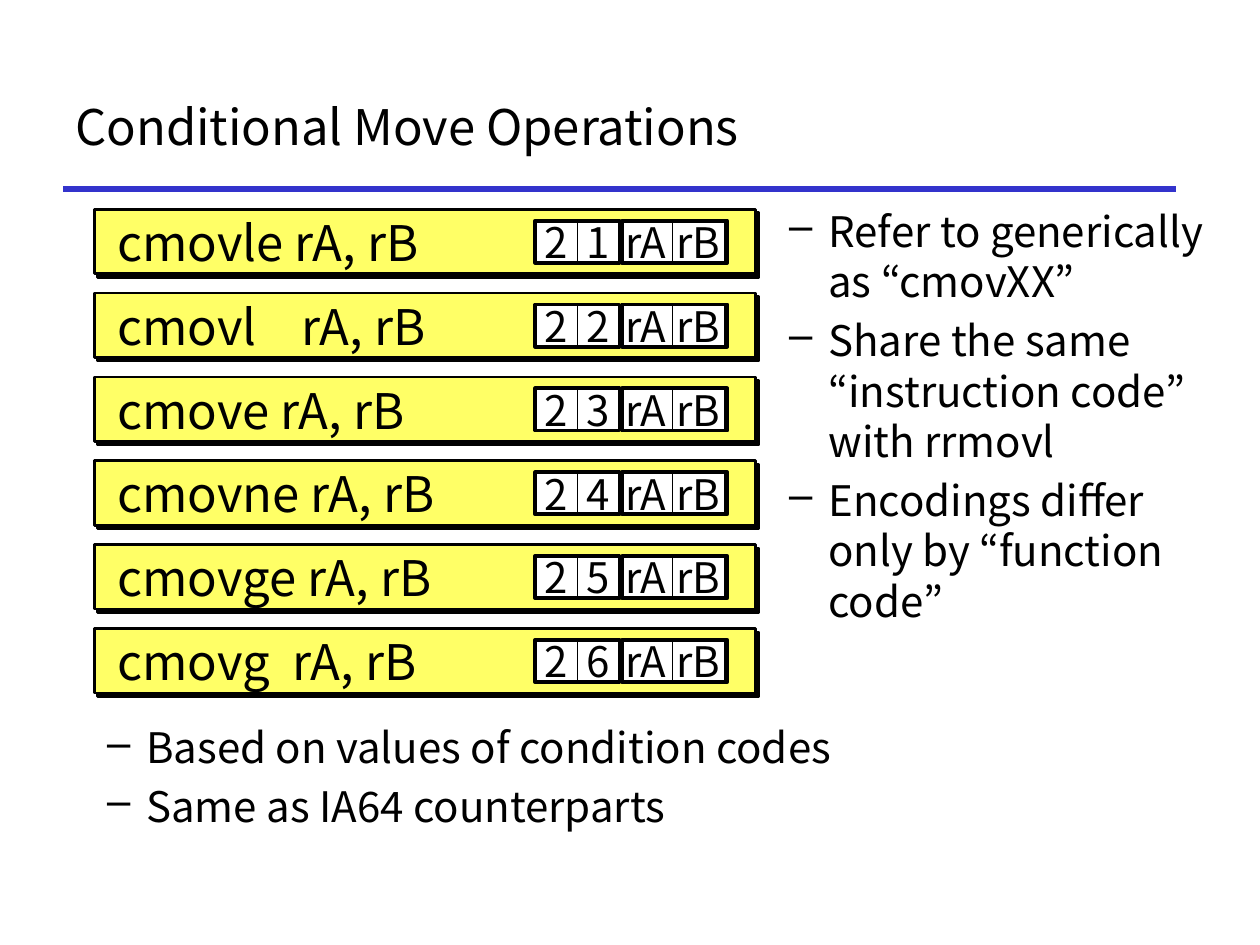
from lxml.etree import SubElement
from pptx import Presentation
from pptx.dml.color import RGBColor
from pptx.enum.shapes import MSO_CONNECTOR, MSO_SHAPE
from pptx.enum.text import MSO_ANCHOR, PP_ALIGN
from pptx.oxml.ns import qn
from pptx.util import Cm, Pt

FONT = "Noto Sans CJK KR"
BLACK = RGBColor(0x00, 0x00, 0x00)
WHITE = RGBColor(0xFF, 0xFF, 0xFF)
YELLOW = RGBColor(0xFF, 0xFF, 0x66)
BLUE = RGBColor(0x33, 0x33, 0xCC)

# Code, function digit, tab stop in cm (where the operands are set apart)
MOVES = [
    ("cmovle rA, rB", "1", None),
    ("cmovl\trA, rB", "2", 3.71),
    ("cmove rA, rB", "3", None),
    ("cmovne rA, rB", "4", None),
    ("cmovge rA, rB", "5", None),
    ("cmovg\trA, rB", "6", 3.53),
]
TOP, STEP = 4.22, 1.69


class Deck:
    def __init__(self, wide, high):
        self.file = Presentation()
        self.file.slide_width, self.file.slide_height = Cm(wide), Cm(high)
        self.slide = self.file.slides.add_slide(self.file.slide_layouts[6])
        self.shapes = self.slide.shapes

    def style(self, para, size):
        font = para.font
        font.name, font.size, font.color.rgb = FONT, Pt(size), BLACK

    def rule(self, x1, x2, y):
        line = self.shapes.add_connector(
            MSO_CONNECTOR.STRAIGHT, Cm(x1), Cm(y), Cm(x2), Cm(y))
        line.line.color.rgb, line.line.width = BLUE, Pt(3)
        SubElement(line._element.spPr, qn("a:effectLst"))

    def text(self, home, words, x, y, w, h, stop=None):
        box = home.add_textbox(Cm(x), Cm(y), Cm(w), Cm(h))
        frame = box.text_frame
        frame.word_wrap, frame.vertical_anchor = True, MSO_ANCHOR.MIDDLE
        para = frame.paragraphs[0]
        para.text = words
        if stop:
            tabs = SubElement(para._p.get_or_add_pPr(), qn("a:tabLst"))
            SubElement(tabs, qn("a:tab"), pos=str(Cm(stop)), algn="l")
        self.style(para, 28)

    def rect(self, home, x, y, w, h, fill, width, words=None):
        box = home.add_shape(MSO_SHAPE.RECTANGLE, Cm(x), Cm(y), Cm(w), Cm(h))
        box.shadow.inherit = False
        if fill is None:
            box.fill.background()
        else:
            box.fill.solid()
            box.fill.fore_color.rgb = fill
        box.line.color.rgb, box.line.width = BLACK, Pt(width)
        if words:
            frame = box.text_frame
            frame.word_wrap, frame.vertical_anchor = False, MSO_ANCHOR.MIDDLE
            para = frame.paragraphs[0]
            para.text, para.alignment = words, PP_ALIGN.CENTER
            self.style(para, 24)
        return box

    def shade(self, box):
        fx = box._element.spPr.find(qn("a:effectLst"))
        cast = SubElement(fx, qn("a:outerShdw"), dist=str(Pt(2.8)),
                          dir="2700000", algn="ctr", rotWithShape="0")
        SubElement(cast, qn("a:srgbClr"), val=str(BLACK))

    def move(self, y, code, digit, stop):
        home = self.shapes.add_group_shape().shapes
        self.shade(self.rect(home, 1.9, y, 13.33, 1.3, YELLOW, 1.5))
        y += 0.23
        self.text(home, code, 2.12, y, 8, 0.85, stop)
        # Each pair of cells, then the frame around it
        for start, edge, w, pair in ((10.79, 10.79, 0.85, ("2", digit)),
                                     (12.49, 12.54, 1.06, ("rA", "rB"))):
            for col, words in enumerate(pair):
                self.rect(home, start + col * w, y, w, 0.85, WHITE, 0.5, words)
            self.rect(home, edge, y, 2 * w, 0.85, None, 2.25)

    def dashes(self, items, x, y, w, h):
        frame = self.shapes.add_textbox(Cm(x), Cm(y), Cm(w), Cm(h)).text_frame
        frame.word_wrap = True
        for i, words in enumerate(items):
            para = frame.add_paragraph() if i else frame.paragraphs[0]
            para.text = words
            if i:
                para.space_before = Pt(4.8)
            props = para._p.get_or_add_pPr()
            props.set("marL", str(Cm(0.79)))
            props.set("indent", str(-Cm(0.79)))
            SubElement(props, qn("a:buChar"), char="–")
            self.style(para, 24)


def main():
    deck = Deck(25.4, 19.05)

    # Title and rule
    deck.rule(1.27, 23.71, 3.81)
    deck.text(deck.shapes, "Conditional Move Operations",
              1.27, 1.27, 22.44, 2.54)

    # Instruction encodings
    for row, (code, digit, stop) in enumerate(MOVES):
        deck.move(TOP + row * STEP, code, digit, stop)

    # Notes beside and below
    deck.dashes(["Refer to generically as “cmovXX”",
                 "Share the same “instruction code” with rrmovl",
                 "Encodings differ only by “function code”"],
                15.66, 4.02, 9.31, 10.16)
    deck.dashes(["Based on values of condition codes",
                 "Same as IA64 counterparts"],
                1.91, 14.43, 15.24, 2.51)

    deck.file.save("out.pptx")


if __name__ == "__main__":
    main()
